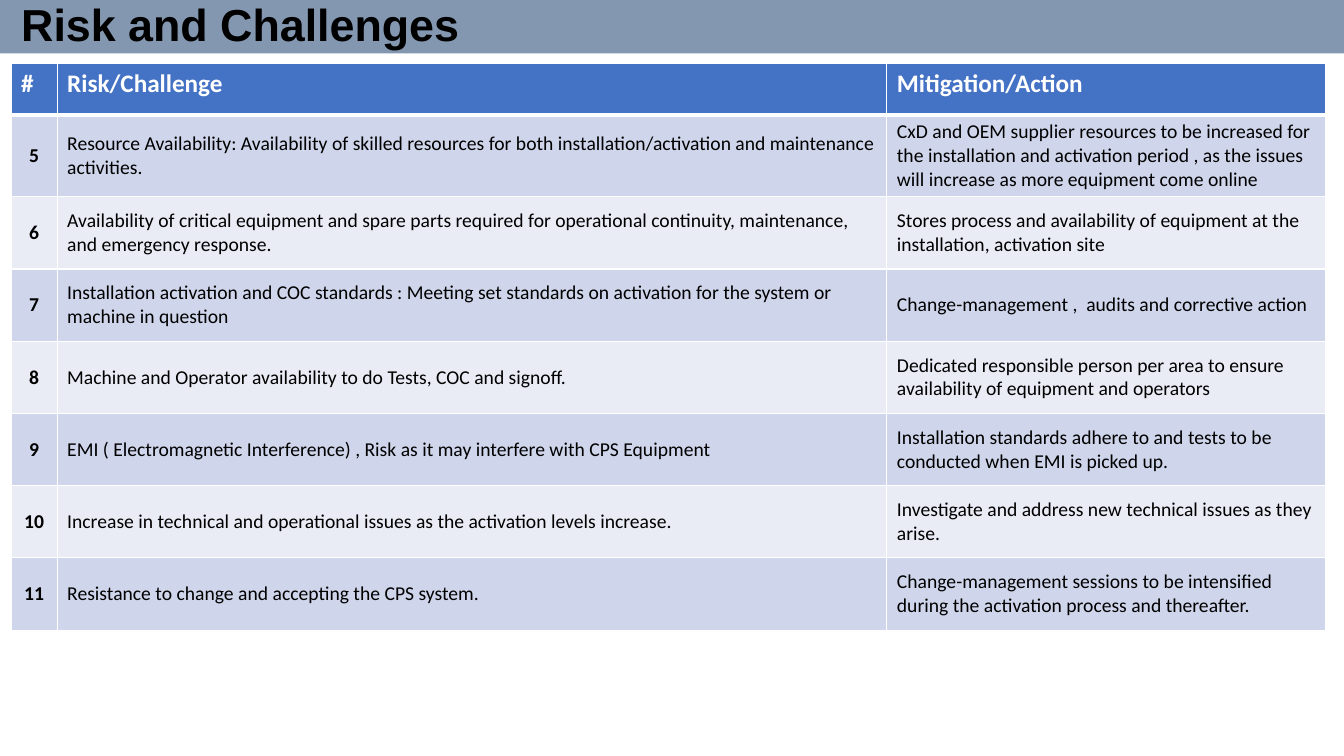
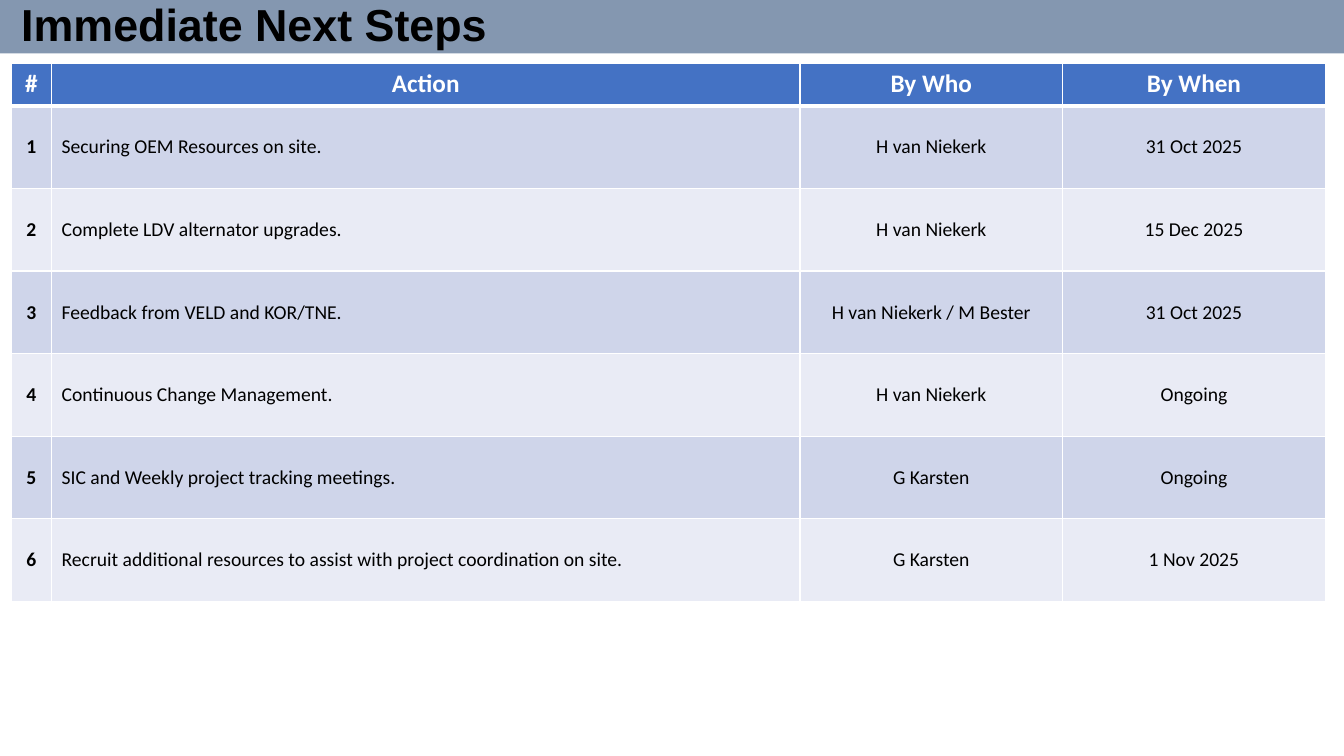
from dataclasses import dataclass
from lxml import etree
from pptx import Presentation
from pptx import util as u
from pptx.dml import color
from pptx.enum import shapes, text
from pptx.oxml import ns

MID = text.MSO_ANCHOR.MIDDLE
TOP = text.MSO_ANCHOR.TOP
LEFT = text.PP_ALIGN.LEFT
MID_X = text.PP_ALIGN.CENTER


@dataclass(frozen=True)
class Theme:
    band: str = "8497B0"
    head: str = "4472C4"
    odd: str = "CFD5EA"
    even: str = "E9EBF5"
    white: str = "FFFFFF"
    ink: str = "000000"
    title_font: str = "Arial"
    font: str = "Calibri"
    title_size: int = 32
    head_size: int = 18
    size: int = 14
    thin: int = 1
    thick: int = 3


class Deck:
    def __init__(self, theme):
        self.theme = theme
        self.file = Presentation()
        self.file.slide_width = u.Cm(33.87)
        self.file.slide_height = u.Cm(19.05)
        self.base = self.file.slide_layouts[5]
        self.slide = None

    def paint(self, fill, tone):
        fill.solid()
        fill.fore_color.rgb = color.RGBColor.from_string(tone)

    def label(self, para, words, font, size, tone, bold, align):
        para.alignment = align
        run = para.add_run()
        run.text = words
        run.font.name = font
        run.font.size = u.Pt(size)
        run.font.bold = bold
        run.font.color.rgb = color.RGBColor.from_string(tone)

    def band(self):
        bar = self.slide.shapes.add_shape(
            shapes.MSO_SHAPE.RECTANGLE, 0, 0, self.file.slide_width, u.Cm(1.35))
        bar.shadow.inherit = False
        bar.line.fill.background()
        self.paint(bar.fill, self.theme.band)
        self.base.shapes.element.insert(2, bar.element)

    def page(self, title):
        first = self.slide is None
        self.slide = self.file.slides.add_slide(self.base)
        if first:
            self.band()
        box = self.slide.shapes.title
        box.left, box.top = u.Cm(0.28), u.Cm(0)
        box.width, box.height = u.Cm(33.12), u.Cm(1.35)
        frame = box.text_frame
        frame.auto_size = text.MSO_AUTO_SIZE.NONE
        frame.vertical_anchor = MID
        para = frame.paragraphs[0]
        para.line_spacing = 0.9
        look = self.theme
        self.label(para, title, look.title_font, look.title_size, look.ink, True, LEFT)

    def edge(self, cell, row):
        look = self.theme
        wide = {"lnT": row == 1, "lnB": row == 0}
        props = cell._tc.get_or_add_tcPr()
        for side in ("lnL", "lnR", "lnT", "lnB"):
            size = look.thick if wide.get(side) else look.thin
            line = etree.SubElement(props, ns.qn("a:" + side), w=str(u.Pt(size)))
            fill = etree.SubElement(line, ns.qn("a:solidFill"))
            etree.SubElement(fill, ns.qn("a:srgbClr"), val=look.white)

    def cell(self, cell, row, col, words, align):
        look = self.theme
        head = row == 0
        self.edge(cell, row)
        self.paint(cell.fill, look.head if head else look.odd if row % 2 else look.even)
        cell.vertical_anchor = TOP if head else MID
        self.label(cell.text_frame.paragraphs[0], words, look.font,
                   look.head_size if head else look.size,
                   look.white if head else look.ink, head or col == 0, align)

    def table(self, rows, cols, tall, head_align, aligns):
        grid = self.slide.shapes.add_table(
            len(rows), len(cols), u.Cm(0.28), u.Cm(1.61), u.Cm(sum(cols)),
            u.Cm(tall[0] + tall[1] * (len(rows) - 1))).table
        for col, width in enumerate(cols):
            grid.columns[col].width = u.Cm(width)
        for row, line in enumerate(rows):
            grid.rows[row].height = u.Cm(tall[min(row, 1)])
            for col, words in enumerate(line):
                align = aligns[col] if row else head_align
                self.cell(grid.cell(row, col), row, col, words, align)


RISKS = [
    ("#", "Risk/Challenge", "Mitigation/Action"),
    ("5", "Resource Availability: Availability of skilled resources for both "
     "installation/activation and maintenance activities.",
     "CxD and OEM supplier resources to be increased for the installation and "
     "activation period , as the issues will increase as more equipment come online"),
    ("6", "Availability of critical equipment and spare parts required for "
     "operational continuity, maintenance, and emergency response.",
     "Stores process and availability of equipment at the installation, activation site"),
    ("7", "Installation activation and COC standards : Meeting set standards on "
     "activation for the system or machine in question",
     "Change-management ,  audits and corrective action"),
    ("8", "Machine and Operator availability to do Tests, COC and signoff.",
     "Dedicated responsible person per area to ensure availability of equipment "
     "and operators"),
    ("9", "EMI ( Electromagnetic Interference) , Risk as it may interfere with "
     "CPS Equipment",
     "Installation standards adhere to and tests to be conducted when EMI is picked up."),
    ("10", "Increase in technical and operational issues as the activation levels "
     "increase.",
     "Investigate and address new technical issues as they arise."),
    ("11", "Resistance to change and accepting the CPS system.",
     "Change-management sessions to be intensified during the activation process "
     "and thereafter."),
]

STEPS = [
    ("#", "Action", "By Who", "By When"),
    ("1", "Securing OEM Resources on site.", "H van Niekerk", "31 Oct 2025"),
    ("2", "Complete LDV alternator upgrades.", "H van Niekerk", "15 Dec 2025"),
    ("3", "Feedback from VELD and KOR/TNE.", "H van Niekerk / M Bester", "31 Oct 2025"),
    ("4", "Continuous Change Management.", "H van Niekerk", "Ongoing"),
    ("5", "SIC and Weekly project tracking meetings.", "G Karsten", "Ongoing"),
    ("6", "Recruit additional resources to assist with project coordination on site.",
     "G Karsten", "1 Nov 2025"),
]


def main():
    deck = Deck(Theme())
    deck.page("Risk and Challenges")
    deck.table(RISKS, (1.16, 20.91, 11.05), (1.29, 1.82), LEFT, (MID_X, LEFT, LEFT))
    deck.page("Immediate Next Steps")
    deck.table(STEPS, (1.02, 18.86, 6.62, 6.62), (1.06, 2.08), MID_X,
               (MID_X, LEFT, MID_X, MID_X))
    deck.file.save("out.pptx")


if __name__ == "__main__":
    main()
